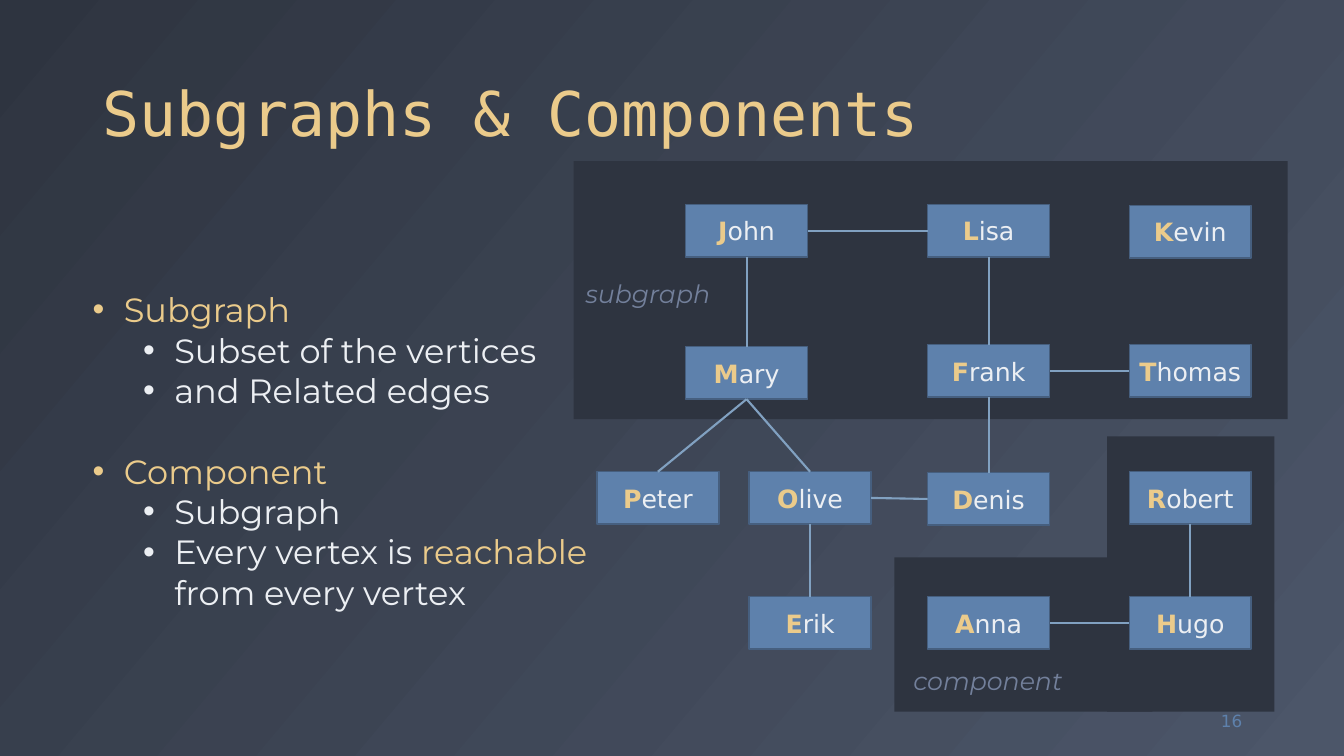
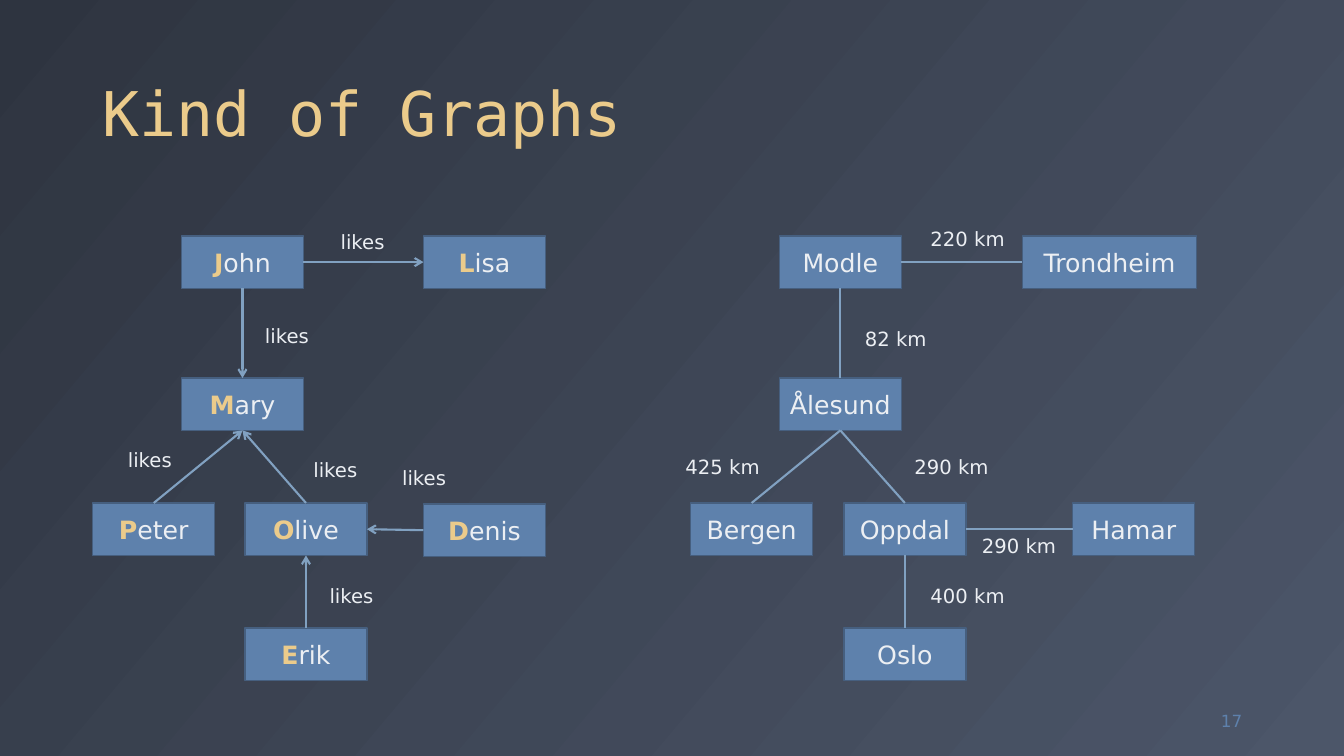
import pptx
import pptx.dml.color
import pptx.enum.shapes
import pptx.enum.text
import pptx.oxml.ns
import pptx.util
from lxml import etree

Inches = pptx.util.Inches
Pt = pptx.util.Pt
RGBColor = pptx.dml.color.RGBColor
PP_ALIGN = pptx.enum.text.PP_ALIGN
MSO_ANCHOR = pptx.enum.text.MSO_ANCHOR

NIGHT = RGBColor(0x2E, 0x34, 0x40)
SLATE = RGBColor(0x4C, 0x56, 0x69)
GOLD = RGBColor(0xEB, 0xCB, 0x8B)
BLUE = RGBColor(0x5E, 0x81, 0xAC)
BLUE_EDGE = RGBColor(0x46, 0x5F, 0x7F)
LINK_BLUE = RGBColor(0x81, 0xA1, 0xC1)
SNOW = RGBColor(0xEC, 0xEF, 0xF3)
MUTED = RGBColor(0x73, 0x80, 0x9B)

SANS = "DejaVu Sans"
MONO = "DejaVu Sans Mono"
BODY = "Montserrat"

NODE_WIDTH, NODE_HEIGHT = 1.21, 0.52
TOP, LEFT, BOTTOM, RIGHT = range(4)

FRIENDS = {
    "John": (0.88, 0), "Lisa": (3.28, 0), "Mary": (0.88, 1.41),
    "Peter": (0, 2.65), "Olive": (1.51, 2.65), "Denis": (3.28, 2.66),
    "Erik": (1.51, 3.89),
}
LIKES = [
    ("John", "Mary"), ("John", "Lisa"), ("Peter", "Mary"),
    ("Olive", "Mary"), ("Denis", "Olive"), ("Erik", "Olive"),
]
MORE_FRIENDS = {
    "Kevin": (5.28, 0.01), "Frank": (3.28, 1.39), "Thomas": (5.28, 1.39),
    "Robert": (5.28, 2.65), "Anna": (3.28, 3.89), "Hugo": (5.28, 3.89),
}
MORE_LINKS = [
    ("Frank", "Lisa"), ("Thomas", "Frank"), ("Denis", "Frank"),
    ("Hugo", "Anna"), ("Hugo", "Robert"),
]
LIKES_LABELS = [
    ("likes", 2.36, -0.11), ("likes", 1.61, 0.82), ("likes", 0.25, 2.05),
    ("likes", 2.09, 2.15), ("likes", 2.97, 2.23), ("likes", 2.25, 3.4),
]
CITIES = {
    "Modle": (0.88, 0), "Trondheim": (3.29, 0), "Ålesund": (0.88, 1.41),
    "Bergen": (0, 2.65), "Oppdal": (1.52, 2.65), "Hamar": (3.79, 2.65),
    "Oslo": (1.52, 3.89),
}
ROADS = [
    ("Modle", "Ålesund"), ("Modle", "Trondheim"), ("Bergen", "Ålesund"),
    ("Oppdal", "Ålesund"), ("Hamar", "Oppdal"), ("Oslo", "Oppdal"),
]
DISTANCES = [
    ("82 km", 1.63, 0.85), ("220 km", 2.28, -0.14), ("425 km", -0.15, 2.12),
    ("290 km", 2.12, 2.12), ("290 km", 2.79, 2.91), ("400 km", 2.28, 3.4),
]
DEFINITIONS = [
    (0, [("Subgraph", GOLD)]),
    (1, [("Subset of the vertices", SNOW)]),
    (1, [("and Related edges", SNOW)]),
    (0, [("Component", GOLD)]),
    (1, [("Subgraph", SNOW)]),
    (1, [("Every vertex is ", SNOW), ("reachable", GOLD), (" from every vertex", SNOW)]),
]


def set_font(font, name, size, color=None):
    font.name = name
    font.size = Pt(size)
    if color is not None:
        font.color.rgb = color


def add_run(paragraph, text, color):
    run = paragraph.add_run()
    run.text = text
    run.font.color.rgb = color
    return run


def add_text(slide, box, text, name, size, color, wrap=True):
    frame = slide.shapes.add_textbox(*map(Inches, box)).text_frame
    frame.word_wrap = wrap
    if not wrap:
        frame.auto_size = pptx.enum.text.MSO_AUTO_SIZE.SHAPE_TO_FIT_TEXT
    frame.text = text
    set_font(frame.paragraphs[0].font, name, size, color)
    return frame


def add_panel(slide, box, color):
    panel = slide.shapes.add_shape(
        pptx.enum.shapes.MSO_SHAPE.RECTANGLE, *map(Inches, box))
    panel.shadow.inherit = False
    panel.fill.solid()
    panel.fill.fore_color.rgb = color
    panel.line.fill.background()
    return panel


def add_node(slide, name, box, accent):
    node = add_panel(slide, box, BLUE)
    node.line.color.rgb = BLUE_EDGE
    node.line.width = Pt(1)
    frame = node.text_frame
    frame.word_wrap = False
    frame.vertical_anchor = MSO_ANCHOR.MIDDLE
    paragraph = frame.paragraphs[0]
    paragraph.alignment = PP_ALIGN.CENTER
    set_font(paragraph.font, SANS, 18)
    if accent:
        add_run(paragraph, name[0], GOLD).font.bold = True
        name = name[1:]
    add_run(paragraph, name, SNOW)
    return node


def facing_sides(start, end):
    if abs(start.top - end.top) < Inches(0.1):
        return (RIGHT, LEFT) if start.left < end.left else (LEFT, RIGHT)
    return (BOTTOM, TOP) if start.top < end.top else (TOP, BOTTOM)


def add_edge(slide, start, end, directed):
    edge = slide.shapes.add_connector(
        pptx.enum.shapes.MSO_CONNECTOR.STRAIGHT, 0, 0, 0, 0)
    start_side, end_side = facing_sides(start, end)
    edge.begin_connect(start, start_side)
    edge.end_connect(end, end_side)
    edge.line.color.rgb = LINK_BLUE
    edge.line.width = Pt(1.5)
    if directed:
        etree.SubElement(edge.line._get_or_add_ln(),
                         pptx.oxml.ns.qn("a:tailEnd"), type="arrow")
    etree.SubElement(edge._element.spPr, pptx.oxml.ns.qn("a:effectLst"))


def add_graph(slide, left, top, places, edges, labels=(), directed=False,
              accent=True, widths=None):
    widths = widths or {}
    nodes = {
        name: add_node(slide, name,
                       (left + x, top + y, widths.get(name, NODE_WIDTH), NODE_HEIGHT),
                       accent)
        for name, (x, y) in places.items()
    }
    for start, end in edges:
        add_edge(slide, nodes[start], nodes[end], directed)
    for text, x, y in labels:
        width = {"likes": 0.64, "82 km": 0.83}.get(text, 0.95)
        add_text(slide, (left + x, top + y, width, 0.34), text, SANS, 14, SNOW,
                 wrap=False)


def add_region(slide, boxes, name, name_box):
    for box in boxes:
        add_panel(slide, box, NIGHT)
    frame = add_text(slide, name_box, name, BODY, 18, MUTED, wrap=False)
    frame.paragraphs[0].font.italic = True


def add_definitions(slide, box):
    frame = slide.shapes.add_textbox(*map(Inches, box)).text_frame
    frame.word_wrap = True
    for index, (level, parts) in enumerate(DEFINITIONS):
        paragraph = frame.add_paragraph() if index else frame.paragraphs[0]
        paragraph.level = level
        properties = paragraph._p.get_or_add_pPr()
        properties.set("marL", str(Inches(0.31 + 0.5 * level)))
        properties.set("indent", str(Inches(-0.31)))
        if index and level == 0:
            paragraph.space_before = Pt(29)
        etree.SubElement(properties, pptx.oxml.ns.qn("a:buFont"), typeface="Arial")
        etree.SubElement(properties, pptx.oxml.ns.qn("a:buChar"), char="•")
        set_font(paragraph.font, BODY, 24)
        for text, color in parts:
            add_run(paragraph, text, color)


def add_background(master):
    fill = master.background.fill
    fill.gradient()
    fill.gradient_angle = 320
    for stop, position, color in zip(fill.gradient_stops, (0, 1), (NIGHT, SLATE)):
        stop.position = position
        stop.color.rgb = color


def add_titled_slide(deck, title, number):
    slide = deck.slides.add_slide(deck.slide_layouts[6])
    heading = add_text(slide, (0.92, 0.18, 11.5, 1.36), title, MONO, 44, GOLD)
    heading.vertical_anchor = MSO_ANCHOR.BOTTOM
    heading.paragraphs[0].line_spacing = 0.9
    footer = add_text(slide, (11.59, 6.95, 0.83, 0.4), str(number), SANS, 12, BLUE)
    footer.vertical_anchor = MSO_ANCHOR.MIDDLE
    footer.paragraphs[0].alignment = PP_ALIGN.RIGHT
    return slide


def build_components(deck):
    slide = add_titled_slide(deck, "Subgraphs & Components", 16)
    add_region(slide, [(5.69, 1.6, 7.08, 2.56)],
               "subgraph", (5.71, 2.71, 1.46, 0.4))
    add_region(slide, [(10.98, 4.33, 1.66, 2.73), (8.87, 5.53, 2.56, 1.53)],
               "component", (8.96, 6.55, 1.69, 0.4))
    add_graph(slide, 5.92, 2.03, FRIENDS | MORE_FRIENDS, LIKES + MORE_LINKS)
    add_definitions(slide, (0.82, 2.82, 5.62, 4.04))


def build_kinds(deck):
    slide = add_titled_slide(deck, "Kind of Graphs", 17)
    add_graph(slide, 0.92, 2.34, FRIENDS, LIKES, LIKES_LABELS, directed=True)
    add_graph(slide, 6.85, 2.34, CITIES, ROADS, DISTANCES, accent=False,
              widths={"Trondheim": 1.73})


def main():
    deck = pptx.Presentation()
    deck.slide_width = Inches(13.33)
    deck.slide_height = Inches(7.5)
    add_background(deck.slide_master)
    build_components(deck)
    build_kinds(deck)
    deck.save("out.pptx")


if __name__ == "__main__":
    main()
